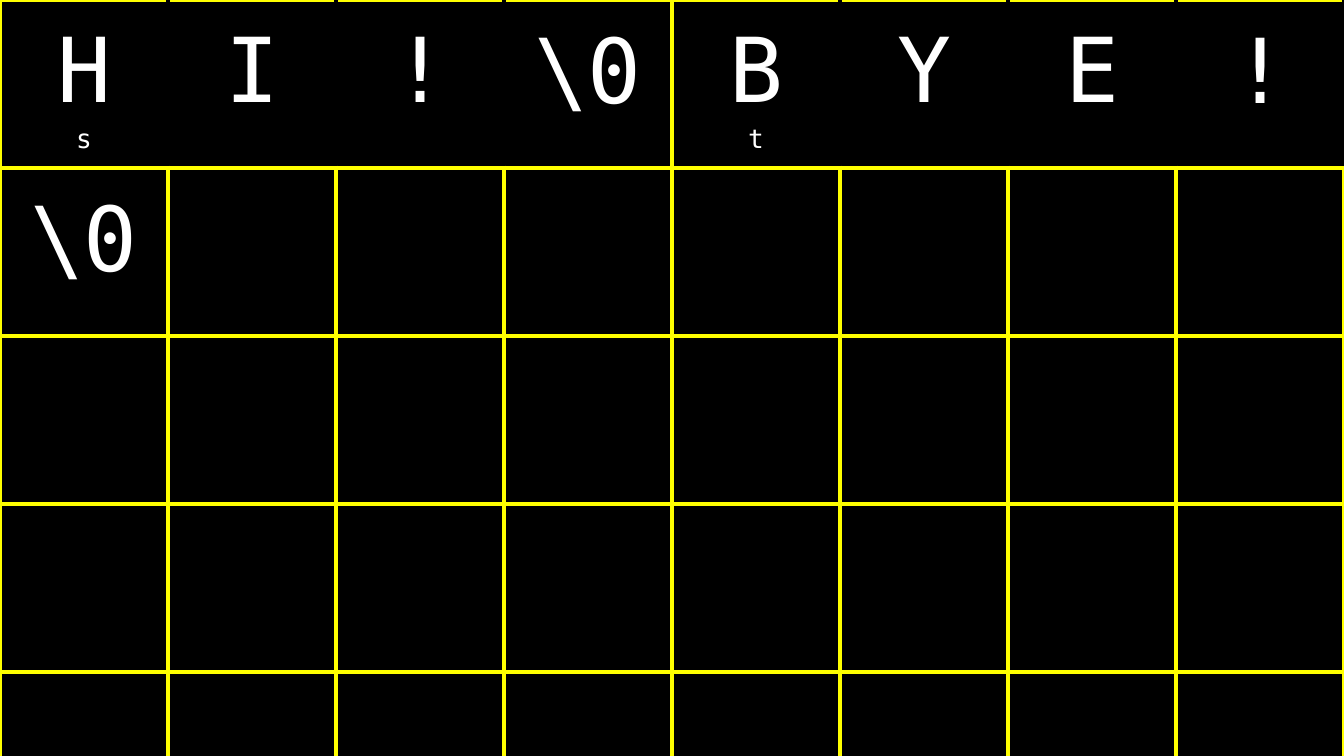
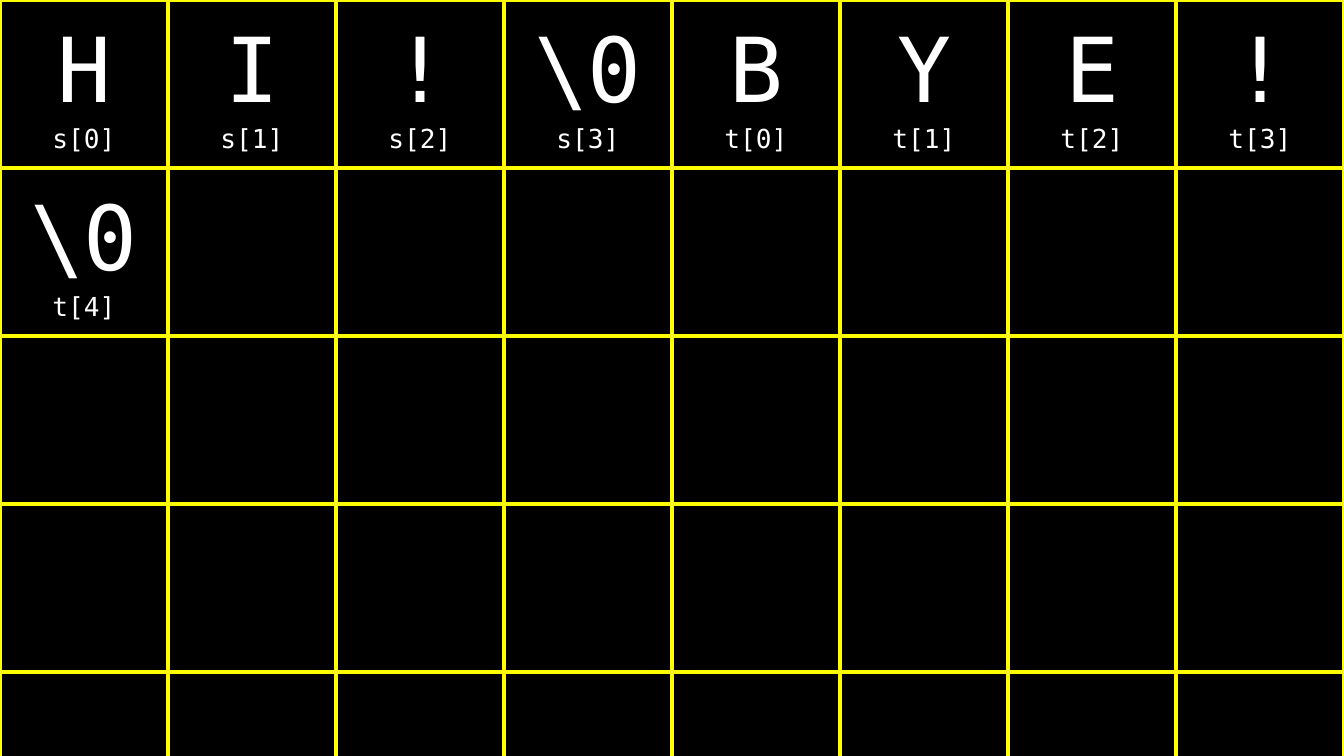
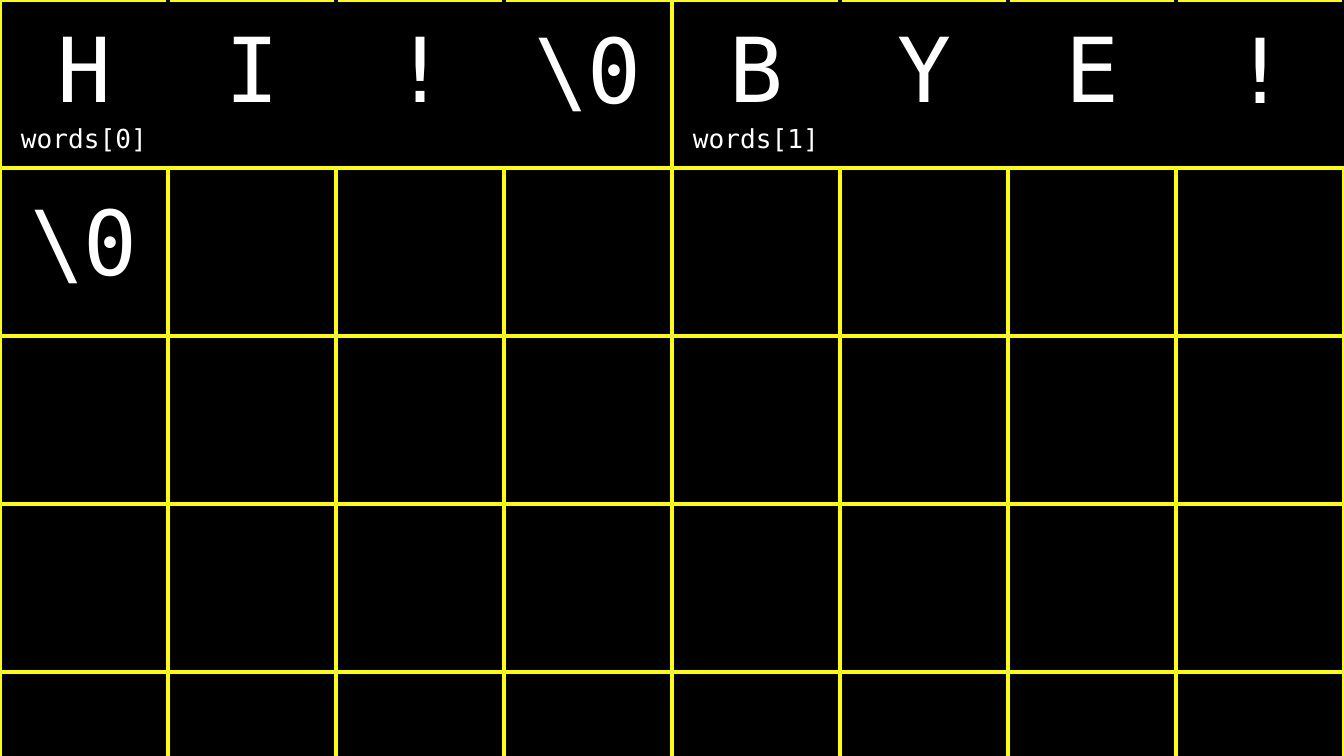
"""Three memory grids showing how the strings HI! and BYE! are stored."""
from lxml.etree import SubElement
from pptx import Presentation
from pptx.dml.color import RGBColor
from pptx.enum.text import MSO_ANCHOR, PP_ALIGN
from pptx.oxml.ns import qn
from pptx.util import Inches, Pt

BLACK = RGBColor(0x00, 0x00, 0x00)
WHITE = RGBColor(0xFF, 0xFF, 0xFF)
YELLOW = RGBColor(0xFF, 0xFF, 0x00)

COLUMNS, ROWS, BYTE_SIZE = 8, 5, 1.25
NULL = "\\0"
MEMORY = ["H", "I", "!", NULL, "B", "Y", "E", "!", NULL]
CHARACTER = {"name": "DejaVu Sans Mono", "size": Pt(48), "bold": False}
LABEL = {**CHARACTER, "size": Pt(14)}
INSET, INNER_INSET, WORD_END_INSET = 0.1, 0.33, 0.32

VIEWS = [
    {"labels": {0: "s", 4: "t"}, "joined": True, "final_inset": 0.32},
    {
        "labels": dict(enumerate([f"s[{i}]" for i in range(4)] + [f"t[{i}]" for i in range(5)])),
        "joined": False,
        "final_inset": INSET,
    },
    {"labels": {0: "words[0]", 4: "words[1]"}, "joined": True, "final_inset": 0.29},
]


def write_line(paragraph, text, formats):
    paragraph.alignment = PP_ALIGN.CENTER
    run = paragraph.add_run()
    run.text = text
    for attribute, value in formats.items():
        setattr(run.font, attribute, value)
    run.font.color.rgb = WHITE


def draw_borders(cell, colors):
    properties = cell._tc.get_or_add_tcPr()
    for side, color in colors.items():
        border = SubElement(properties, qn(f"a:ln{side}"), w=str(Pt(3)))
        fill = SubElement(border, qn("a:solidFill"))
        SubElement(fill, qn("a:srgbClr"), val=str(color))


prs = Presentation()
prs.slide_width, prs.slide_height = Inches(10), Inches(10 * 9 / 16)

for view in VIEWS:
    slide = prs.slides.add_slide(prs.slide_layouts[6])
    slide.background.fill.solid()
    slide.background.fill.fore_color.rgb = BLACK
    memory_grid = slide.shapes.add_table(
        ROWS, COLUMNS, 0, 0, Inches(COLUMNS * BYTE_SIZE), Inches(ROWS * BYTE_SIZE)
    ).table
    memory_grid.first_row = False
    memory_grid.horz_banding = False

    for address, cell in enumerate(memory_grid.iter_cells()):
        colors = dict.fromkeys("LRTB", YELLOW)
        if view["joined"] and address < COLUMNS:
            starts_string = address == 0 or MEMORY[address - 1] == NULL
            colors["L"] = YELLOW if starts_string else BLACK
            colors["R"] = YELLOW if MEMORY[address] == NULL else BLACK
        draw_borders(cell, colors)
        cell.fill.background()

        if address >= len(MEMORY):
            continue
        cell.vertical_anchor = MSO_ANCHOR.BOTTOM
        label = view["labels"].get(address)
        if label:
            bottom = INSET
        elif address == len(MEMORY) - 1:
            bottom = view["final_inset"]
        else:
            bottom = WORD_END_INSET if address % 4 == 3 else INNER_INSET
        insets = {"left": INSET, "right": INSET, "top": INSET, "bottom": bottom}
        for side, inset in insets.items():
            setattr(cell, f"margin_{side}", Inches(inset))
        write_line(cell.text_frame.paragraphs[0], MEMORY[address], CHARACTER)
        if label:
            write_line(cell.text_frame.add_paragraph(), label, LABEL)

prs.save("out.pptx")
